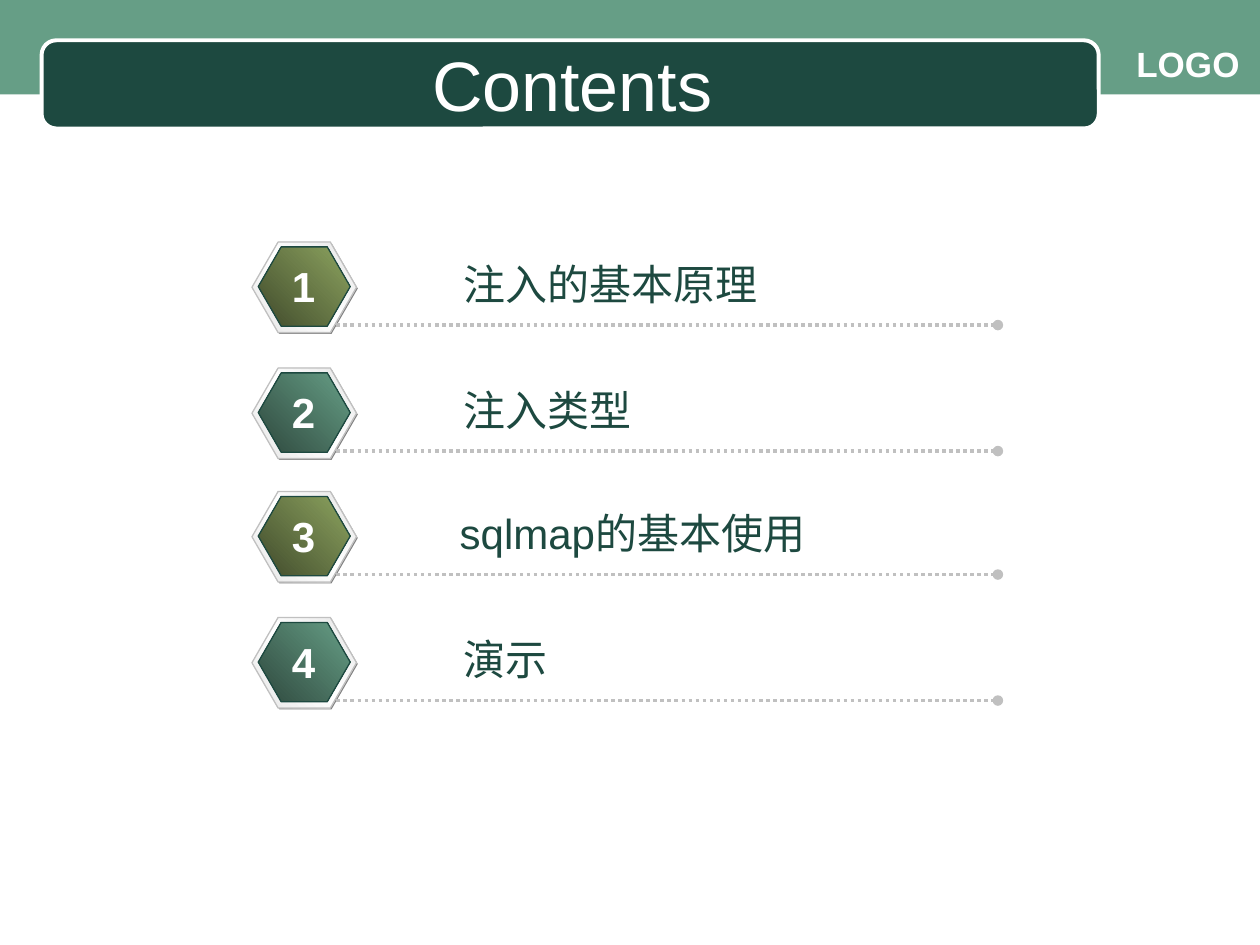
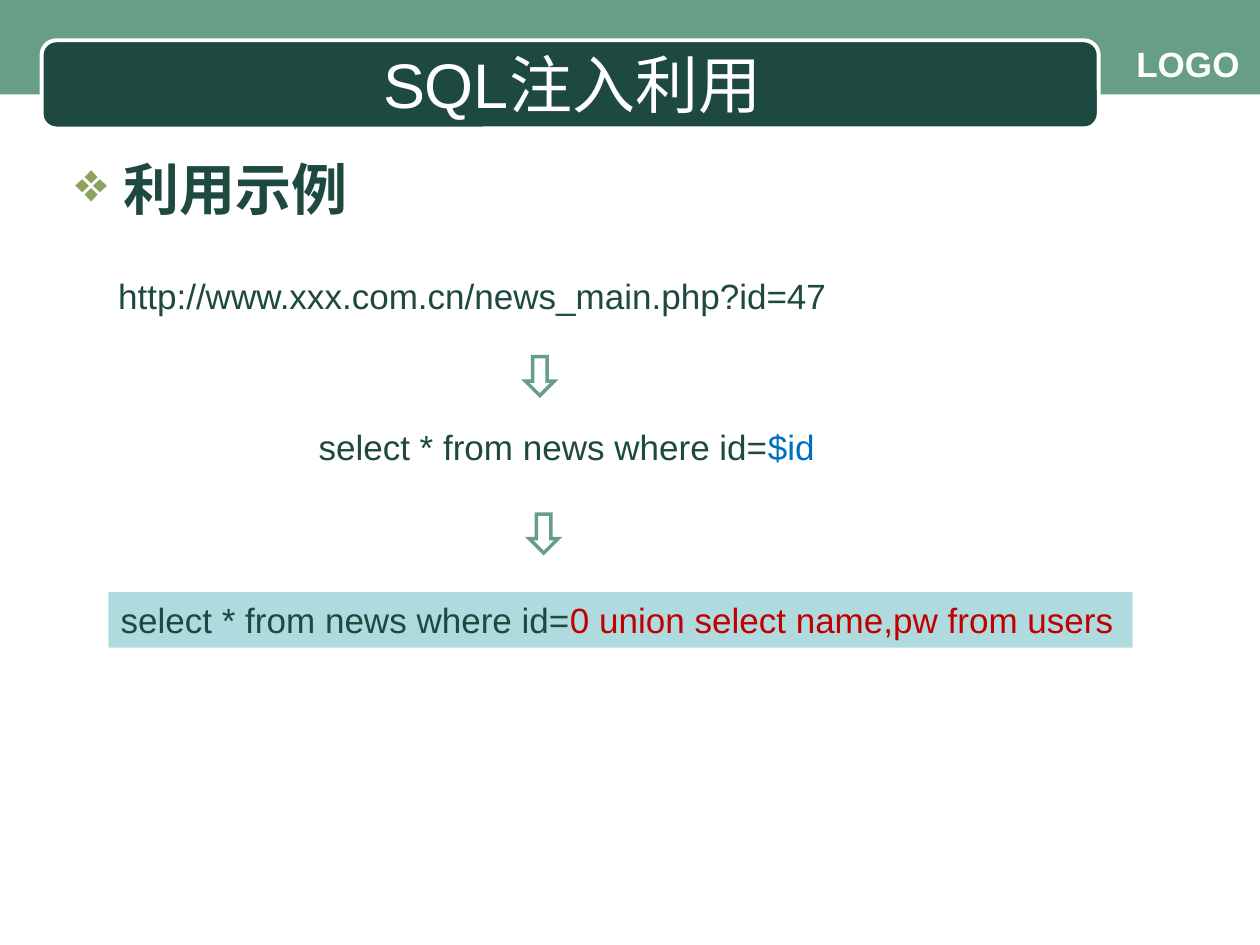
from lxml import etree
from pptx import Presentation
from pptx.dml.color import RGBColor
from pptx.enum import dml, shapes, text
from pptx.oxml.ns import qn
from pptx.util import Inches, Pt

DARK, GREEN, OLIVE, GREY, WHITE = "1D4940", "669E86", "8CA35F", "C0C0C0", "FFFFFF"
KIND = shapes.MSO_SHAPE
rgb = RGBColor.from_string


def draw(parent, kind, left, top, width, height, fill, line=None, weight=0.75):
    """Add a preset shape; a list of (position, colour) as fill makes a diagonal gradient."""
    shape = parent.shapes.add_shape(kind, Inches(left), Inches(top), Inches(width), Inches(height))
    shape.shadow.inherit = False
    if isinstance(fill, str):
        shape.fill.solid()
        shape.fill.fore_color.rgb = rgb(fill)
    else:
        shape.fill.gradient()
        shape.fill.gradient_angle = 45
        stops = shape._element.spPr.find(".//" + qn("a:gsLst"))
        for stop in list(stops):
            stops.remove(stop)
        for position, color in fill:
            stop = etree.SubElement(stops, qn("a:gs"), pos=str(position * 1000))
            etree.SubElement(stop, qn("a:srgbClr"), val=color)
    if line:
        shape.line.color.rgb = rgb(line)
        shape.line.width = Pt(weight)
    else:
        shape.line.fill.background()
    return shape


def write(box, words, size, color=DARK, bold=False, align=text.PP_ALIGN.LEFT,
          anchor=text.MSO_ANCHOR.TOP, accent=None):
    """Fill a box with one paragraph; accent is an optional (words, colour) ending."""
    frame = box.text_frame
    frame.word_wrap = True
    frame.vertical_anchor = anchor
    para = frame.paragraphs[0]
    para.alignment = align
    spans = [(words, color)] + ([accent] if accent else [])
    for span_words, span_color in spans:
        span = para.add_run()
        span.text = span_words
        span.font.name = "Arial"
        span.font.size = Pt(size)
        span.font.bold = bold
        span.font.color.rgb = rgb(span_color)
    return para


deck = Presentation()
deck.slide_width, deck.slide_height = Inches(10), Inches(7.5)

# Band, title plate and corner word on every slide
pages = []
for title, size in [("Contents", 40), ("SQL注入利用", 36)]:
    page = deck.slides.add_slide(deck.slide_layouts[6])
    draw(page, KIND.RECTANGLE, 0, 0, 10, 0.75, GREEN)
    draw(page, KIND.ROUNDED_RECTANGLE, 0.33, 0.32, 8.39, 0.7, DARK, WHITE, 2.25)
    corner = page.shapes.add_textbox(Inches(8.92), Inches(0.29), Inches(1.08), Inches(0.44))
    write(corner, "LOGO", 20, WHITE, bold=True)
    title_box = page.shapes.add_textbox(Inches(0.5), Inches(0.35), Inches(8.08), Inches(0.62))
    write(title_box, title, size, WHITE, align=text.PP_ALIGN.CENTER,
          anchor=text.MSO_ANCHOR.MIDDLE)
    pages.append(page)
contents, example = pages

# Contents: numbered hexagons with dotted rules
silver = [(0, "E6E6E6"), (50, WHITE), (100, "E6E6E6")]
badge_fills = [[(0, "414B2C"), (100, OLIVE)], [(0, "2F493E"), (100, GREEN)]]
topics = [
    ("注入的基本原理", 1.92, 3.58),
    ("注入类型", 2.92, 3.58),
    ("sqlmap的基本使用", 3.9, 3.55),
    ("演示", 4.9, 3.58),
]
for index, (topic, top, left) in enumerate(topics):
    badge = contents.shapes.add_group_shape()
    layers = [
        (2.01, top + 0.01, 0.83, 0.72, "808080", None),
        (2, top, 0.83, 0.72, silver, GREY),
        (2.05, top + 0.04, 0.73, 0.63, badge_fills[index % 2], DARK),
    ]
    for layer in layers:
        hexagon = draw(badge, KIND.HEXAGON, *layer)
        hexagon.adjustments[0] = 0.289

    rule_y = Inches(top + 0.66)
    rule = contents.shapes.add_connector(
        shapes.MSO_CONNECTOR.STRAIGHT, Inches(2.67), rule_y, Inches(7.92), rule_y)
    rule.line.color.rgb = rgb(GREY)
    rule.line.width = Pt(2)
    rule.line.dash_style = dml.MSO_LINE.ROUND_DOT
    etree.SubElement(rule.line._get_or_add_ln(), qn("a:tailEnd"), type="oval")
    etree.SubElement(rule._element.spPr, qn("a:effectLst"))

    topic_box = contents.shapes.add_textbox(
        Inches(left), Inches(top + 0.08), Inches(3.2), Inches(0.5))
    write(topic_box, topic, 24)
    number_box = contents.shapes.add_textbox(
        Inches(2.16), Inches(top + 0.1), Inches(0.5), Inches(0.5))
    write(number_box, str(index + 1), 24, WHITE, bold=True, align=text.PP_ALIGN.CENTER)

# Example: from the address to the injected query
heading_box = example.shapes.add_textbox(Inches(0.5), Inches(1.18), Inches(9), Inches(5.74))
heading = write(heading_box, "利用示例", 32, bold=True)
properties = heading._p.get_or_add_pPr()
properties.set("marL", str(Inches(0.38)))
properties.set("indent", str(-Inches(0.38)))
bullet_color = etree.SubElement(properties, qn("a:buClr"))
etree.SubElement(bullet_color, qn("a:srgbClr"), val=OLIVE)
etree.SubElement(properties, qn("a:buChar"), char="❖")

address_box = example.shapes.add_textbox(Inches(0.84), Inches(2.13), Inches(6.2), Inches(0.44))
write(address_box, "http://www.xxx.com.cn/news_main.php?id=47", 20)

query = "select * from news where id="
query_box = example.shapes.add_textbox(Inches(2.43), Inches(3.33), Inches(4.5), Inches(0.44))
write(query_box, query, 20, accent=("$id", "0070C0"))

for left, top in [(4.17, 2.83), (4.2, 4.08)]:
    arrow = draw(example, KIND.DOWN_ARROW, left, top, 0.23, 0.31, WHITE, GREEN, 2)
    etree.SubElement(arrow.line._get_or_add_ln(), qn("a:miter"), lim="800000")

injected_box = draw(example, KIND.RECTANGLE, 0.86, 4.7, 8.13, 0.44, "9ED3D7")
fill_color = injected_box._element.spPr.find(qn("a:solidFill"))[0]
etree.SubElement(fill_color, qn("a:alpha"), val="82000")
write(injected_box, query, 20, accent=("0 union select name,pw from users", "C00000"))

deck.save("out.pptx")
